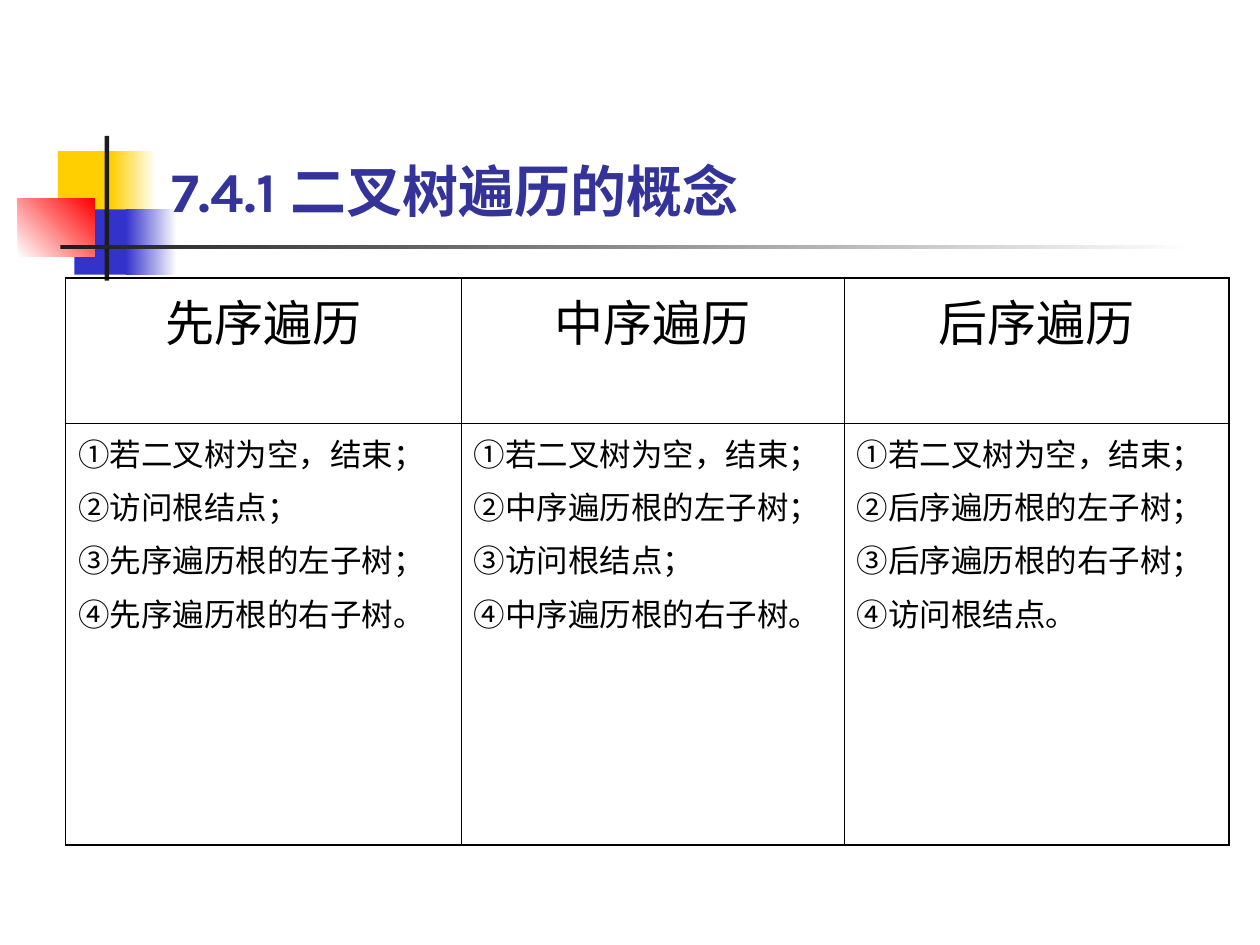
from lxml import etree
from pptx import Presentation
from pptx import util as u
from pptx.dml.color import RGBColor
from pptx.enum import shapes, text
from pptx.oxml.ns import qn

YELLOW = RGBColor(0xFF, 0xCF, 0x01)
BLUE = RGBColor(0x33, 0x33, 0xCC)
RED = RGBColor(0xFF, 0x00, 0x00)
WHITE = RGBColor(0xFF, 0xFF, 0xFF)
DARK = RGBColor(0x1C, 0x1C, 0x1C)
BLACK = RGBColor(0x00, 0x00, 0x00)
INDIGO = RGBColor(0x33, 0x33, 0x99)

OUTER, INNER = 1.08, 0.45

DECORATIONS = [
    (1.17, 3.05, 1.22, 1.32, (YELLOW,), 0),
    (2.24, 3.05, 0.91, 1.32, (YELLOW, WHITE), 0),
    (1.5, 4.22, 1.17, 1.32, (BLUE,), 0),
    (2.54, 4.22, 1.02, 1.32, (BLUE, WHITE), 0),
    (0.36, 4.01, 1.55, 1.17, (WHITE, RED), 45),
    (2.11, 2.74, 0.09, 2.92, (DARK,), 0),
    (1.22, 4.94, 22.86, 0.09, (DARK, WHITE), 0),
]

TRAVERSALS = [
    ("先序遍历", ["①若二叉树为空，结束；", "②访问根结点；",
              "③先序遍历根的左子树；", "④先序遍历根的右子树。"]),
    ("中序遍历", ["①若二叉树为空，结束；", "②中序遍历根的左子树；",
              "③访问根结点；", "④中序遍历根的右子树。"]),
    ("后序遍历", ["①若二叉树为空，结束；", "②后序遍历根的左子树；",
              "③后序遍历根的右子树；", "④访问根结点。"]),
]


def write(tf, lines, size, color=BLACK, bold=False,
          align=text.PP_ALIGN.LEFT, before=0):
    for i, line in enumerate(lines):
        p = tf.add_paragraph() if i else tf.paragraphs[0]
        p.alignment = align
        p.space_before = u.Pt(before if i else 0)
        r = p.add_run()
        r.text = line
        r.font.name = "Karla"
        r.font.size = u.Pt(size)
        r.font.bold = bold
        r.font.color.rgb = color


def add_block(s, x, y, w, h, colors, angle):
    sp = s.shapes.add_shape(shapes.MSO_SHAPE.RECTANGLE,
                            u.Cm(x), u.Cm(y), u.Cm(w), u.Cm(h))
    sp.shadow.inherit = False
    sp.line.fill.background()
    if len(colors) == 1:
        sp.fill.solid()
        sp.fill.fore_color.rgb = colors[0]
        return
    sp.fill.gradient()
    sp.fill.gradient_angle = angle
    for stop, color, position in zip(sp.fill.gradient_stops, colors, (0, 1)):
        stop.color.rgb = color
        stop.position = position


def set_borders(cell, widths):
    tcPr = cell._tc.get_or_add_tcPr()
    for i, (side, width) in enumerate(zip("LRTB", widths)):
        ln = etree.Element(qn(f"a:ln{side}"), w=str(u.Pt(width)))
        fill = etree.SubElement(ln, qn("a:solidFill"))
        etree.SubElement(fill, qn("a:srgbClr"), val=str(BLACK))
        tcPr.insert(i, ln)


def add_traversal_table(s):
    n = len(TRAVERSALS)
    table = s.shapes.add_table(2, n, u.Cm(1.32), u.Cm(5.61),
                               u.Cm(23.45), u.Cm(11.43)).table
    for column, width in zip(table.columns, (7.98, 7.72, 7.75)):
        column.width = u.Cm(width)
    for row, height in zip(table.rows, (2.92, 8.51)):
        row.height = u.Cm(height)
    for c, (name, steps) in enumerate(TRAVERSALS):
        write(table.cell(0, c).text_frame, [name], 28,
              align=text.PP_ALIGN.CENTER)
        write(table.cell(1, c).text_frame, steps, 18, before=4.5)
        for r in range(2):
            cell = table.cell(r, c)
            cell.fill.background()
            edges = (c == 0, c == n - 1, r == 0, r == 1)
            set_borders(cell, [OUTER if edge else INNER for edge in edges])


def add_title(s, title):
    sp = s.shapes.add_textbox(u.Cm(3.2), u.Cm(0.58), u.Cm(21.64), u.Cm(4.06))
    tf = sp.text_frame
    tf.word_wrap = True
    tf.vertical_anchor = text.MSO_ANCHOR.BOTTOM
    write(tf, [title], 32, color=INDIGO, bold=True)


def main():
    prs = Presentation()
    prs.slide_width, prs.slide_height = u.Cm(25.4), u.Cm(19.05)
    s = prs.slides.add_slide(prs.slide_layouts[6])
    for decoration in DECORATIONS:
        add_block(s, *decoration)
    add_traversal_table(s)
    add_title(s, "7.4.1 二叉树遍历的概念")
    prs.save("out.pptx")


if __name__ == "__main__":
    main()
